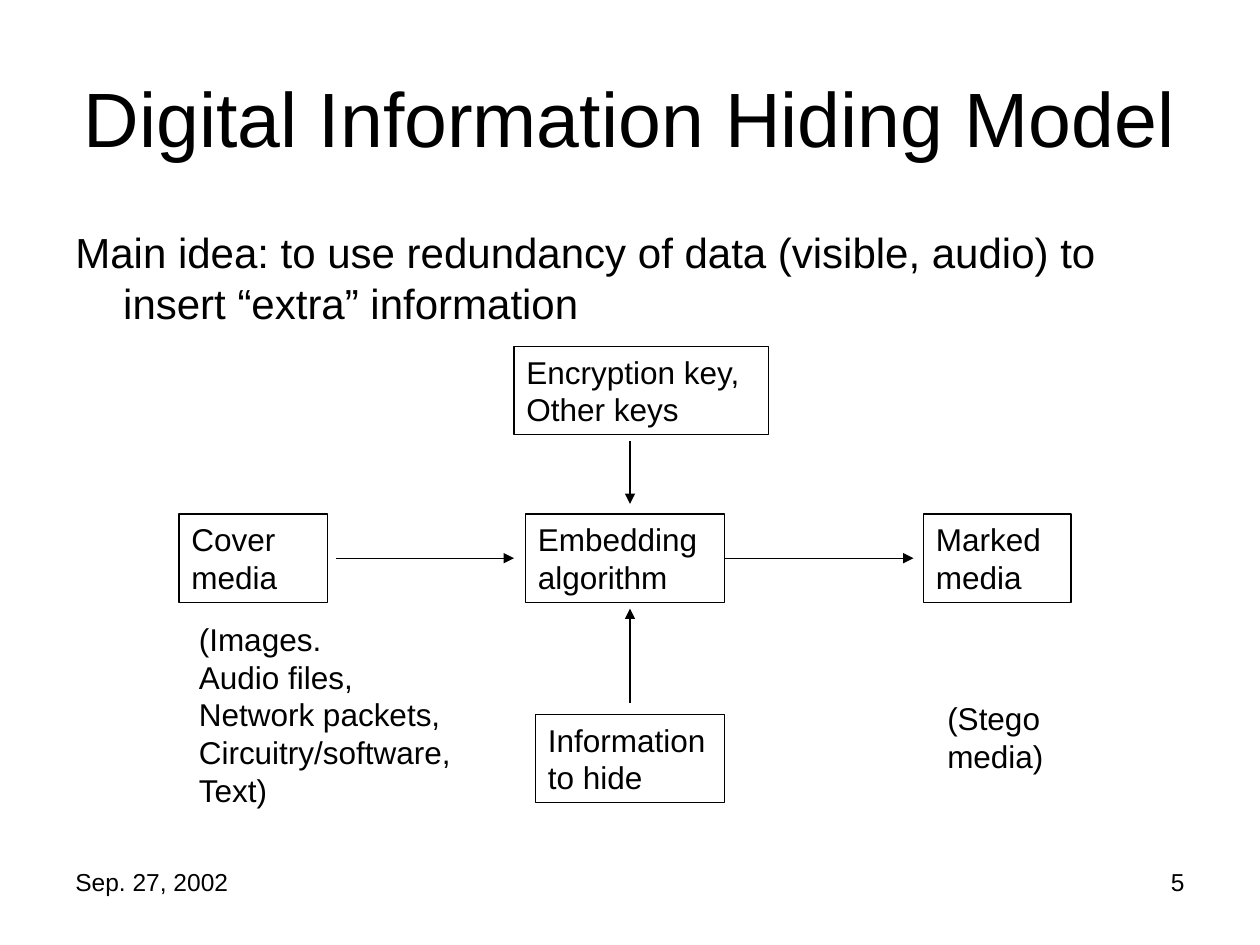
from lxml import etree
from pptx import Presentation
from pptx.dml.color import RGBColor
from pptx.enum.shapes import MSO_CONNECTOR, MSO_SHAPE
from pptx.enum.text import MSO_ANCHOR, PP_ALIGN
from pptx.oxml.ns import qn
from pptx.util import Inches, Pt

BLACK = RGBColor(0, 0, 0)
FONT = "Arial"
LEFT, CENTER, RIGHT = PP_ALIGN.LEFT, PP_ALIGN.CENTER, PP_ALIGN.RIGHT
TOP, MIDDLE = MSO_ANCHOR.TOP, MSO_ANCHOR.MIDDLE
RECTANGLE = MSO_SHAPE.RECTANGLE
STRAIGHT = MSO_CONNECTOR.STRAIGHT
RIGHT_SIDE = 3

BOX_HEIGHT = 0.7
ROW_TOP = 4.08
ROW_MIDDLE = ROW_TOP + BOX_HEIGHT / 2
COLUMN_MIDDLE = 5


def inches(values):
    return [Inches(value) for value in values]


def write(shape, text, size, alignment=LEFT, anchor=TOP, wrap=True):
    frame = shape.text_frame
    frame.text = text
    frame.word_wrap = wrap
    frame.vertical_anchor = anchor
    for paragraph in frame.paragraphs:
        paragraph.alignment = alignment
        paragraph.font.name = FONT
        paragraph.font.size = Pt(size)
        paragraph.font.color.rgb = BLACK


def add_title(slide, box, text):
    title = slide.shapes.title
    title.left, title.top, title.width, title.height = inches(box)
    write(title, text, 44, CENTER, MIDDLE)


def add_text(slide, box, text, size=18, alignment=LEFT, wrap=True):
    shape = slide.shapes.add_textbox(*inches(box))
    write(shape, text, size, alignment, wrap=wrap)
    return shape


def add_main_idea(slide, box, text):
    """Add the statement with a hanging indent."""
    shape = add_text(slide, box, text, 24)
    properties = shape.text_frame.paragraphs[0]._p.get_or_add_pPr()
    properties.set("marL", str(Inches(0.38)))
    properties.set("indent", str(-Inches(0.38)))


def add_box(slide, left, top, width, text):
    box = slide.shapes.add_shape(RECTANGLE, *inches((left, top, width, BOX_HEIGHT)))
    box.shadow.inherit = False
    box.fill.background()
    box.line.color.rgb = BLACK
    box.line.width = Pt(0.75)
    write(box, text, 18)
    return box


def add_arrow(slide, start, end):
    arrow = slide.shapes.add_connector(STRAIGHT, *inches((*start, *end)))
    arrow.line.color.rgb = BLACK
    arrow.line.width = Pt(0.75)
    line = arrow.line._get_or_add_ln()
    etree.SubElement(line, qn("a:tailEnd"), type="triangle")
    etree.SubElement(arrow._element.spPr, qn("a:effectLst"))
    return arrow


def add_model(slide):
    add_box(slide, 4.08, 2.75, 2.02, "Encryption key,\nOther keys")
    add_box(slide, 1.42, ROW_TOP, 1.18, "Cover media")
    add_box(slide, 4.25, 5.67, 1.5, "Information to hide")
    embedding = add_box(slide, 4.17, ROW_TOP, 1.58, "Embedding algorithm")
    add_box(slide, 7.33, ROW_TOP, 1.17, "Marked media")

    add_arrow(slide, (2.67, ROW_MIDDLE), (4.08, ROW_MIDDLE))
    add_arrow(slide, (COLUMN_MIDDLE, 3.5), (COLUMN_MIDDLE, 4))
    add_arrow(slide, (COLUMN_MIDDLE, 5.58), (COLUMN_MIDDLE, 4.83))
    output_arrow = add_arrow(slide, (5.75, ROW_MIDDLE), (7.25, ROW_MIDDLE))
    output_arrow.begin_connect(embedding, RIGHT_SIDE)

    cover_examples = ("(Images.", "Audio files,", "Network packets,",
                      "Circuitry/software,", "Text)")
    add_text(slide, (1.48, 4.87, 2.2, 1.6), "\n".join(cover_examples), wrap=False)
    add_text(slide, (7.42, 5.5, 1, BOX_HEIGHT), "(Stego\vmedia)")


def add_footer(slide, top, date, number):
    width, height = 2.33, 0.52
    add_text(slide, (7.17, top, width, height), number, 14, RIGHT)
    add_text(slide, (0.5, top, width, height), date, 14)


def main():
    presentation = Presentation()
    presentation.slide_width = Inches(10)
    presentation.slide_height = Inches(7.5)
    title_only = presentation.slide_layouts[5]
    slide = presentation.slides.add_slide(title_only)

    add_title(slide, (0.5, 0.3, 9, 1.25), "Digital Information Hiding Model")
    add_main_idea(slide, (0.5, 1.75, 9, 0.95),
                  "Main idea: to use redundancy of data (visible, audio) "
                  "to insert “extra” information")
    add_model(slide)
    add_footer(slide, 6.83, "Sep. 27, 2002", "5")
    presentation.save("out.pptx")


if __name__ == "__main__":
    main()
